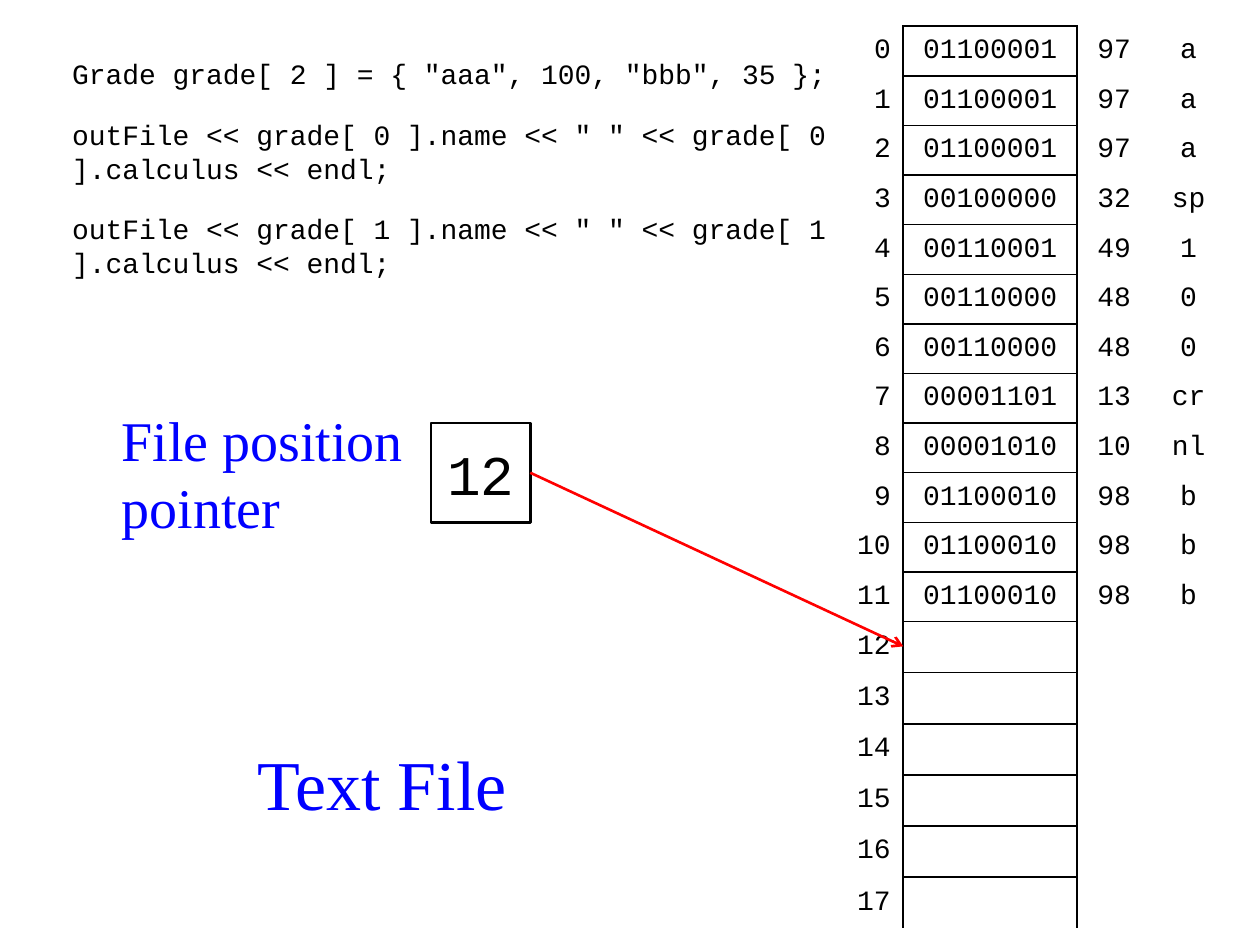
from lxml import etree
from pptx import Presentation, util as u
from pptx.dml.color import RGBColor
from pptx.enum import shapes, text
from pptx.oxml import ns

BLACK = RGBColor(0x00, 0x00, 0x00)
BLUE = RGBColor(0x00, 0x00, 0xFF)
RED = RGBColor(0xFF, 0x00, 0x00)
MONO, SERIF = "Courier New", "Times New Roman"
ALIGN = text.PP_ALIGN

CODE = [
    'Grade grade[ 2 ] = { "aaa", 100, "bbb", 35 };',
    'outFile << grade[ 0 ].name << " " << grade[ 0 ].calculus << endl;',
    'outFile << grade[ 1 ].name << " " << grade[ 1 ].calculus << endl;',
]
BYTES = [(97, "a")] * 3 + [(32, "sp"), (49, "1"), (48, "0"), (48, "0"),
                           (13, "cr"), (10, "nl")] + [(98, "b")] * 3
ROW_COUNT = 18
POINTER = len(BYTES)
COLUMN_WIDTHS = [1.5, 3.5, 1.5, 1.5]
ROW_HEIGHT = 1


def cm_box(box):
    """Turn a box in centimetres into lengths."""
    return [u.Cm(value) for value in box]


def place(shape, box):
    """Move and size a shape to a box."""
    shape.left, shape.top, shape.width, shape.height = cm_box(box)


def write(frame, lines, font, size, color, align=ALIGN.LEFT, gap=0):
    """Write one paragraph per line, with a gap between paragraphs."""
    for number, line in enumerate(lines):
        para = frame.add_paragraph() if number else frame.paragraphs[0]
        para.alignment = align
        para.space_before = u.Pt(gap if number else 0)
        span = para.add_run()
        span.text = line
        span.font.name, span.font.size = font, u.Pt(size)
        span.font.color.rgb = color


def set_borders(cell, widths):
    """Set the left, right, top and bottom borders; 0 means none."""
    cell.fill.background()
    properties = cell._tc.get_or_add_tcPr()
    for position, (side, width) in enumerate(zip("LRTB", widths)):
        line = etree.Element(ns.qn(f"a:ln{side}"), w=str(u.Pt(width)))
        if width:
            fill = etree.SubElement(line, ns.qn("a:solidFill"))
            etree.SubElement(fill, ns.qn("a:srgbClr"), val=str(BLACK))
        else:
            etree.SubElement(line, ns.qn("a:noFill"))
        properties.insert(position, line)


def add_memory(page, left, top):
    """Add the table of byte addresses, bits, codes and characters."""
    frame = page.shapes.add_table(
        ROW_COUNT, len(COLUMN_WIDTHS),
        *cm_box([left, top, sum(COLUMN_WIDTHS), ROW_COUNT * ROW_HEIGHT]))
    table = frame.table
    table.first_row = table.horz_banding = False
    for column, width in zip(table.columns, COLUMN_WIDTHS):
        column.width = u.Cm(width)
    for address, row in enumerate(table.rows):
        row.height = u.Cm(ROW_HEIGHT)
        values = [str(address)]
        if address < len(BYTES):
            code, name = BYTES[address]
            values += [f"{code:08b}", str(code), name]
        above = 1 if address else 1.5
        below = 1 if address < ROW_COUNT - 1 else 0
        borders = [(0, 1.5, 0, 0), (1.5, 1.5, above, below),
                   (1.5, 0, 0, 0), (0, 0, 0, 0)]
        for cell, widths in zip(row.cells, borders):
            cell.vertical_anchor = text.MSO_ANCHOR.MIDDLE
            set_borders(cell, widths)
        row.cells[1].margin_left = row.cells[1].margin_right = u.Cm(0.2)
        for number, value in enumerate(values):
            align = ALIGN.CENTER if number else ALIGN.RIGHT
            write(row.cells[number].text_frame, [value], MONO, 16, BLACK, align)


def fill_title(page, box):
    """Place the slide title."""
    title = page.shapes.title
    place(title, box)
    frame = title.text_frame
    frame.auto_size = text.MSO_AUTO_SIZE.NONE
    frame.vertical_anchor = text.MSO_ANCHOR.MIDDLE
    write(frame, ["Text File"], SERIF, 40, BLUE, ALIGN.CENTER)


def fill_code(page, box):
    """Place the code lines in the body, without bullets."""
    body = page.placeholders[1]
    place(body, box)
    body.text_frame.auto_size = text.MSO_AUTO_SIZE.NONE
    write(body.text_frame, CODE, MONO, 16, BLACK, gap=15.5)
    for para in body.text_frame.paragraphs:
        properties = para._p.get_or_add_pPr()
        properties.set("marL", "0")
        properties.set("indent", "0")
        etree.SubElement(properties, ns.qn("a:buNone"))


def add_pointer(page, left, top, target):
    """Add the label, the boxed position and the arrow to its byte."""
    label = page.shapes.add_textbox(*cm_box([left, top, 6.5, 3]))
    label.text_frame.word_wrap = False
    label.text_frame.vertical_anchor = text.MSO_ANCHOR.MIDDLE
    write(label.text_frame, ["File position", "pointer"], SERIF, 32, BLUE)

    square = page.shapes.add_shape(
        shapes.MSO_SHAPE.RECTANGLE, *cm_box([left + 6.49, top + 0.5, 2, 2]))
    square.shadow.inherit = False
    square.fill.background()
    square.line.color.rgb, square.line.width = BLACK, u.Pt(1.5)
    square.text_frame.word_wrap = False
    square.text_frame.vertical_anchor = text.MSO_ANCHOR.MIDDLE
    write(square.text_frame, [str(POINTER)], MONO, 32, BLACK, ALIGN.CENTER)

    arrow = page.shapes.add_connector(
        shapes.MSO_CONNECTOR.STRAIGHT,
        *cm_box([left + 8.49, top + 1.5, *target]))
    arrow.begin_connect(square, 3)
    arrow.line.color.rgb, arrow.line.width = RED, u.Pt(1.5)
    etree.SubElement(arrow.line._get_or_add_ln(), ns.qn("a:tailEnd"),
                     type="arrow")
    etree.SubElement(arrow._element.spPr, ns.qn("a:effectLst"))


def build():
    """Build and save the deck."""
    deck = Presentation()
    deck.slide_width, deck.slide_height = u.Cm(25.4), u.Cm(19.05)
    page = deck.slides.add_slide(deck.slide_layouts[1])
    left, top = 16.71, 0.53
    add_memory(page, left, top)
    fill_title(page, [4.7, 14.53, 6, 2.5])
    fill_code(page, [1.2, 1.02, 16, 5])
    target = [left + COLUMN_WIDTHS[0], top + (POINTER + 0.5) * ROW_HEIGHT]
    add_pointer(page, 2.2, 8.03, target)
    deck.save("out.pptx")


build()
